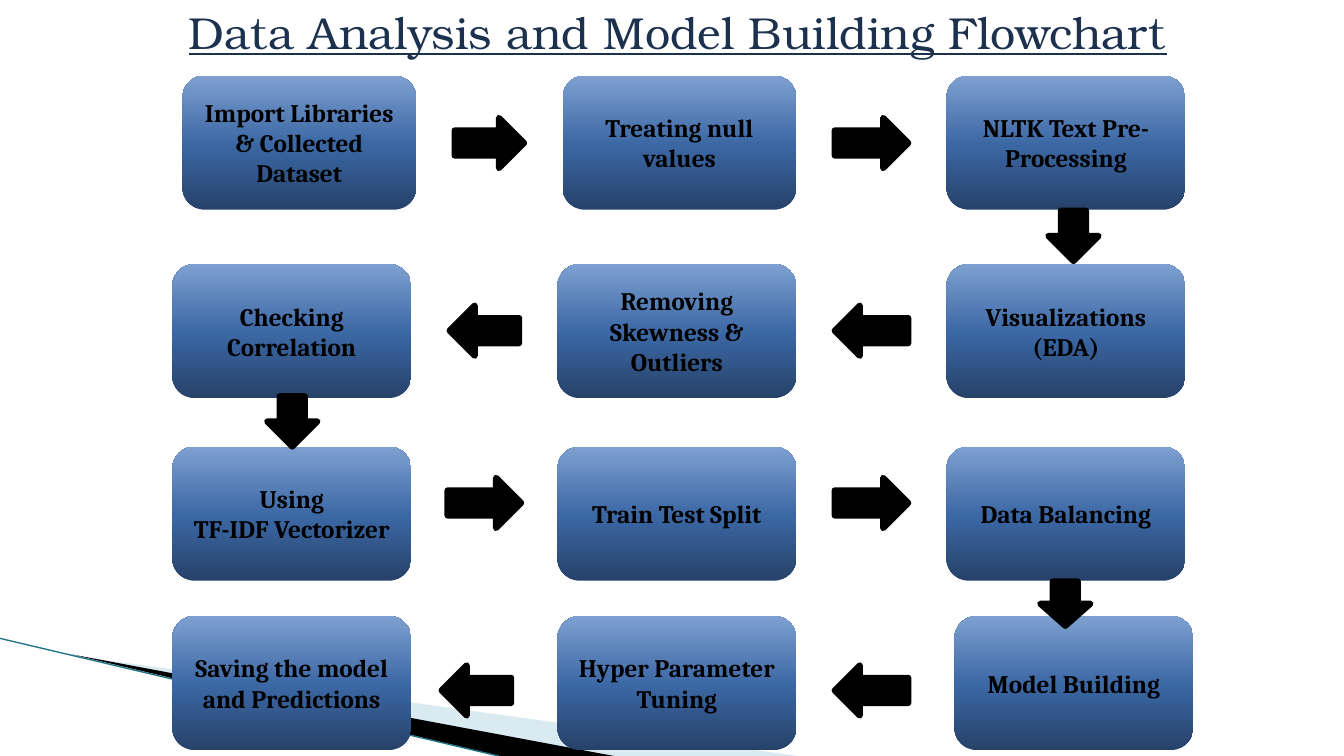
"""Build the data analysis and model building flowchart slide."""
from copy import deepcopy
from typing import NamedTuple

from lxml import etree
from pptx import Presentation
from pptx.dml.color import RGBColor
from pptx.enum.shapes import MSO_CONNECTOR, MSO_SHAPE
from pptx.enum.text import MSO_ANCHOR, PP_ALIGN
from pptx.oxml.ns import qn
from pptx.util import Pt

STEP_SHAPE = MSO_SHAPE.FLOWCHART_ALTERNATE_PROCESS
RIGHT, LEFT, DOWN = MSO_SHAPE.RIGHT_ARROW, MSO_SHAPE.LEFT_ARROW, MSO_SHAPE.DOWN_ARROW
STRAIGHT = MSO_CONNECTOR.STRAIGHT
CENTER, MIDDLE = PP_ALIGN.CENTER, MSO_ANCHOR.MIDDLE

BLACK = "000000"
STEP_STOPS = ((0, "264269"), (0.48, "3B67A4"), (1, "7DA0D0"))
STEP_WIDTH, STEP_HEIGHT = 170.6, 95.8
ARROW_SIZE = 36
COLUMNS = (123.1, 398.2, 676.1)
ROWS = (54, 188.6, 319, 440)


class Step(NamedTuple):
    lines: tuple[str, ...]
    column: int
    row: int
    shift: float = 0
    width: float = STEP_WIDTH


class Arrow(NamedTuple):
    direction: MSO_SHAPE
    left: float
    top: float
    width: float = ARROW_SIZE
    height: float = ARROW_SIZE


class Ribbon(NamedTuple):
    points: tuple[tuple[float, float], ...]
    color: str
    opacity: int


STEPS = (
    Step(("Import Libraries & Collected Dataset",), 0, 0, 7.2, 167),
    Step(("Treating null values",), 1, 0, 3.6, 167),
    Step(("NLTK Text Pre-Processing",), 2, 0),
    Step(("Visualizations", "(EDA)"), 2, 1),
    Step(("Removing Skewness & Outliers",), 1, 1),
    Step(("Checking Correlation",), 0, 1),
    Step(("Using", "TF-IDF Vectorizer"), 0, 2),
    Step(("Train Test Split",), 1, 2),
    Step(("Data Balancing",), 2, 2),
    Step(("Model Building",), 2, 3, 5.7),
    Step(("Hyper Parameter Tuning",), 1, 3),
    Step(("Saving the model and Predictions",), 0, 3),
)
ROW_ARROWS = (
    (RIGHT, 84.2, 324.7, 49.7),
    (LEFT, 218.2, 321.1, 49.7),
    (RIGHT, 341.3, 319.7, 52.6),
    (LEFT, 475.2, 315.4, 49.7),
)
DOWN_ARROWS = (
    Arrow(DOWN, 748.8, 150.5),
    Arrow(DOWN, 190.8, 283),
    Arrow(DOWN, 743, 415.4, height=31.7),
)
RIBBONS = (
    Ribbon(((52.6, 468.4), (570, 540), (437.8, 540)), "A0CBDC", 40),
    Ribbon(((51.5, 467.5), (438.5, 540), (357, 540)), BLACK, 100),
)


def rgb(color: str) -> RGBColor:
    """Return the colour for a hex string."""
    return RGBColor.from_string(color)


def write(frame, lines: tuple[str, ...], font: str, size: float, color: str,
          bold: bool = False, underline: bool = False) -> None:
    """Write centred paragraphs into a text frame."""
    frame.word_wrap = True
    for index, line in enumerate(lines):
        paragraph = frame.paragraphs[0] if index == 0 else frame.add_paragraph()
        paragraph.alignment = CENTER
        run = paragraph.add_run()
        run.text = line
        run.font.name, run.font.size = font, Pt(size)
        run.font.bold, run.font.underline = bold, underline
        run.font.color.rgb = rgb(color)


def draw_ribbon(shapes, ribbon: Ribbon) -> None:
    """Draw a filled background ribbon."""
    start, *rest = [(Pt(x), Pt(y)) for x, y in ribbon.points]
    builder = shapes.build_freeform(*start)
    builder.add_line_segments(rest, close=True)
    band = builder.convert_to_shape()
    band.shadow.inherit = False
    band.line.fill.background()
    band.fill.solid()
    band.fill.fore_color.rgb = rgb(ribbon.color)
    fill_color = band._element.spPr.find(".//" + qn("a:srgbClr"))
    etree.SubElement(fill_color, qn("a:alpha"), val=str(ribbon.opacity * 1000))


def draw_edge(shapes) -> None:
    """Draw the thin line along the ribbons."""
    edge = shapes.add_connector(STRAIGHT, Pt(0), Pt(456), Pt(356), Pt(540))
    edge.line.color.rgb = rgb("1F7487")
    edge.line.width = Pt(0.95)
    etree.SubElement(edge._element.spPr, qn("a:effectLst"))


def draw_step(shapes, step: Step) -> None:
    """Draw one flowchart step with its gradient."""
    box = shapes.add_shape(STEP_SHAPE, Pt(COLUMNS[step.column] + step.shift),
                           Pt(ROWS[step.row]), Pt(step.width), Pt(STEP_HEIGHT))
    box.shadow.inherit = False
    box.line.fill.background()
    box.fill.gradient()
    box.fill.gradient_angle = 90
    stop_list = box._element.spPr.find(".//" + qn("a:gsLst"))
    stop_list.append(deepcopy(stop_list[0]))
    for stop, (position, color) in zip(box.fill.gradient_stops, STEP_STOPS):
        stop.position = position
        stop.color.rgb = rgb(color)
    box.text_frame.vertical_anchor = MIDDLE
    write(box.text_frame, step.lines, "Cambria", 18, BLACK, bold=True)


def draw_arrow(shapes, arrow: Arrow) -> None:
    """Draw one black block arrow with rounded corners."""
    block = shapes.add_shape(arrow.direction, Pt(arrow.left), Pt(arrow.top),
                             Pt(arrow.width), Pt(arrow.height))
    block.shadow.inherit = False
    block.fill.solid()
    block.fill.fore_color.rgb = rgb(BLACK)
    block.line.color.rgb = rgb(BLACK)
    block.line.width = Pt(4.33)
    etree.SubElement(block._element.spPr.find(qn("a:ln")), qn("a:round"))


def main() -> None:
    """Build and save the slide."""
    deck = Presentation()
    deck.slide_width, deck.slide_height = Pt(960), Pt(540)
    shapes = deck.slides.add_slide(deck.slide_layouts[6]).shapes
    for ribbon in RIBBONS:
        draw_ribbon(shapes, ribbon)
    draw_edge(shapes)
    title = shapes.add_textbox(Pt(42.5), Pt(0), Pt(883.4), Pt(67.7))
    write(title.text_frame, ("Data Analysis and Model Building Flowchart",),
          "TeX Gyre Bonum", 32, "1C314E", underline=True)
    for step in STEPS:
        draw_step(shapes, step)
    for direction, top, left, width in ROW_ARROWS:
        draw_arrow(shapes, Arrow(direction, left, top, width))
        draw_arrow(shapes, Arrow(direction, 596.2, top, 52.6))
    for arrow in DOWN_ARROWS:
        draw_arrow(shapes, arrow)
    deck.save("out.pptx")


if __name__ == "__main__":
    main()
